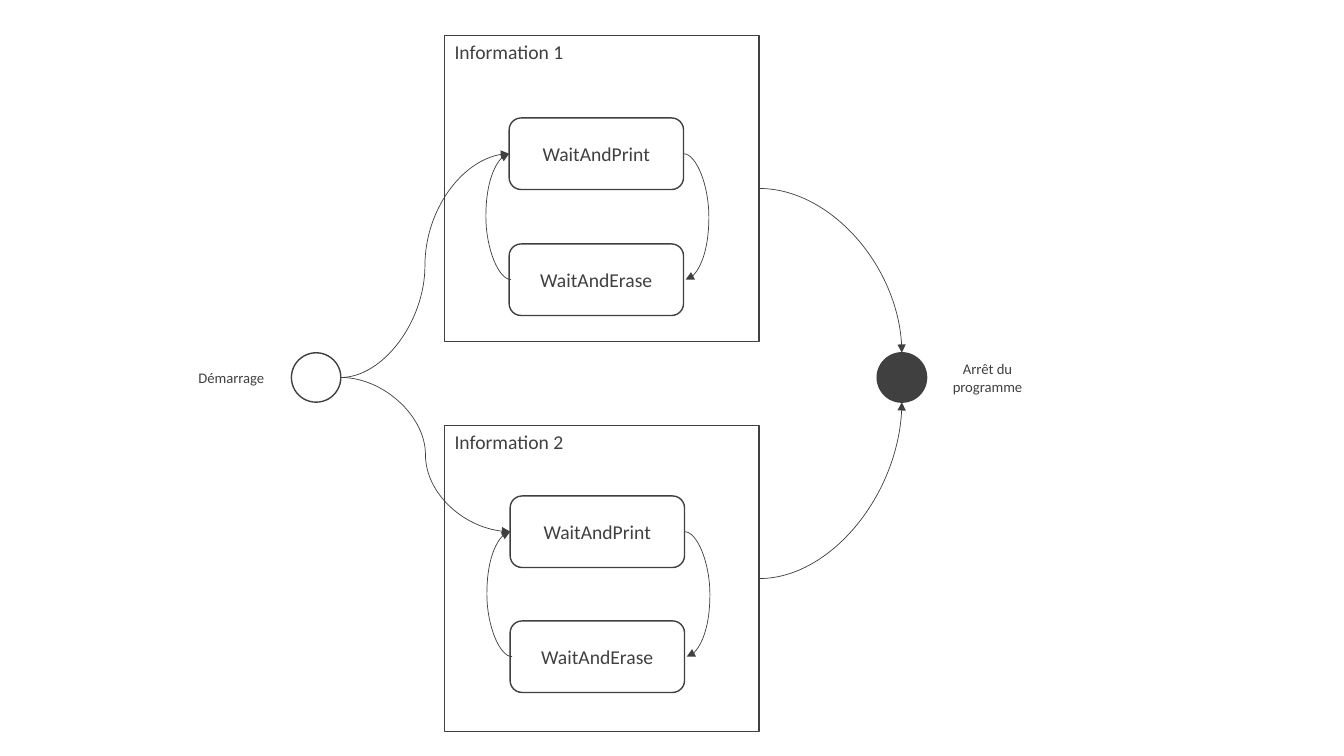
from lxml.etree import SubElement
from pptx import Presentation
from pptx.dml.color import RGBColor
from pptx.enum.shapes import MSO_CONNECTOR, MSO_SHAPE
from pptx.enum.text import MSO_ANCHOR, PP_ALIGN
from pptx.oxml.ns import qn
from pptx.util import Inches, Pt

# Content: each frame has a title, its top, and the left and tops of its states
STATES = ("WaitAndPrint", "WaitAndErase")
FRAMES = [
    {"title": "Information 1", "top": 0.35, "state_left": 5.05, "state_tops": (1.17, 2.42)},
    {"title": "Information 2", "top": 4.22, "state_left": 5.06, "state_tops": (4.92, 6.16)},
]
LABELS = [("Démarrage", 1.81, 3.61, 0.28), ("Arrêt du programme", 9.31, 3.52, 0.45)]

# Style and measures in inches
COLORS = {"ink": "404040"}
INK = RGBColor.from_string(COLORS["ink"])
FONT = "Calibri"
FRAME_LEFT, FRAME_WIDTH, FRAME_HEIGHT = 4.41, 3.12, 3.04
STATE_WIDTH, STATE_HEIGHT = 1.73, 0.71
START_LEFT, STOP_LEFT, CIRCLE_TOP, CIRCLE_SIZE = 2.89, 8.7, 3.5, 0.49
LABEL_WIDTH = 0.97
LOOP_BULGE, LOOP_OFFSET = 0.25, 0.02

deck = Presentation()
deck.slide_width, deck.slide_height = Inches(13.33), Inches(7.5)
page = deck.slides.add_slide(deck.slide_layouts[6])


def write(frame, text, size=14, align=PP_ALIGN.CENTER, anchor=MSO_ANCHOR.MIDDLE):
    frame.word_wrap = True
    frame.vertical_anchor = anchor
    para = frame.paragraphs[0]
    para.alignment = align
    span = para.add_run()
    span.text = text
    span.font.name, span.font.size = FONT, Pt(size)
    span.font.color.rgb = INK


def add_box(kind, left, top, width, height, text=None, filled=False, **text_format):
    box = page.shapes.add_shape(kind, *map(Inches, (left, top, width, height)))
    box.shadow.inherit = False
    if filled:
        box.fill.solid()
        box.fill.fore_color.rgb = INK
    else:
        box.fill.background()
    box.line.color.rgb, box.line.width = INK, Pt(1)
    if text:
        write(box.text_frame, text, **text_format)


def add_arrow(start, end, preset="curvedConnector3", bulge=None):
    arrow = page.shapes.add_connector(MSO_CONNECTOR.CURVE, *map(Inches, start + end))
    arrow.line.color.rgb, arrow.line.width = INK, Pt(0.5)
    properties = arrow._element.spPr
    SubElement(properties.find(qn("a:ln")), qn("a:tailEnd"), type="triangle")
    SubElement(properties, qn("a:effectLst"))
    geometry = properties.find(qn("a:prstGeom"))
    geometry.set("prst", preset)
    if bulge:
        # The bend is given as a share of the arrow's width
        share = round(100000 * bulge / abs(end[0] - start[0]))
        SubElement(geometry.find(qn("a:avLst")), qn("a:gd"),
                   name="adj1", fmla=f"val {share}")


# Start and stop circles
circle_middle = CIRCLE_TOP + CIRCLE_SIZE / 2
stop_center = STOP_LEFT + CIRCLE_SIZE / 2
for left, filled in ((START_LEFT, False), (STOP_LEFT, True)):
    add_box(MSO_SHAPE.FLOWCHART_CONNECTOR, left, CIRCLE_TOP,
            CIRCLE_SIZE, CIRCLE_SIZE, filled=filled)

# Frames with their states, loops and arrows
for frame in FRAMES:
    left = frame["state_left"]
    right = left + STATE_WIDTH
    for name, top in zip(STATES, frame["state_tops"]):
        add_box(MSO_SHAPE.FLOWCHART_ALTERNATE_PROCESS, left, top,
                STATE_WIDTH, STATE_HEIGHT, name)
    print_middle, erase_middle = (top + STATE_HEIGHT / 2 for top in frame["state_tops"])
    add_arrow((START_LEFT + CIRCLE_SIZE, circle_middle), (left, print_middle))
    add_arrow((right, print_middle), (right + LOOP_OFFSET, erase_middle), bulge=LOOP_BULGE)
    add_arrow((left + LOOP_OFFSET, erase_middle), (left, print_middle), bulge=LOOP_BULGE)

    add_box(MSO_SHAPE.RECTANGLE, FRAME_LEFT, frame["top"], FRAME_WIDTH, FRAME_HEIGHT,
            frame["title"], align=PP_ALIGN.LEFT, anchor=MSO_ANCHOR.TOP)
    frame_middle = frame["top"] + FRAME_HEIGHT / 2
    above = frame_middle < circle_middle
    stop_edge = CIRCLE_TOP if above else CIRCLE_TOP + CIRCLE_SIZE
    add_arrow((FRAME_LEFT + FRAME_WIDTH, frame_middle), (stop_center, stop_edge),
              preset="curvedConnector2")

# Circle labels
for text, left, top, height in LABELS:
    label = page.shapes.add_textbox(*map(Inches, (left, top, LABEL_WIDTH, height)))
    write(label.text_frame, text, size=10.5, anchor=MSO_ANCHOR.TOP)

deck.save("out.pptx")
